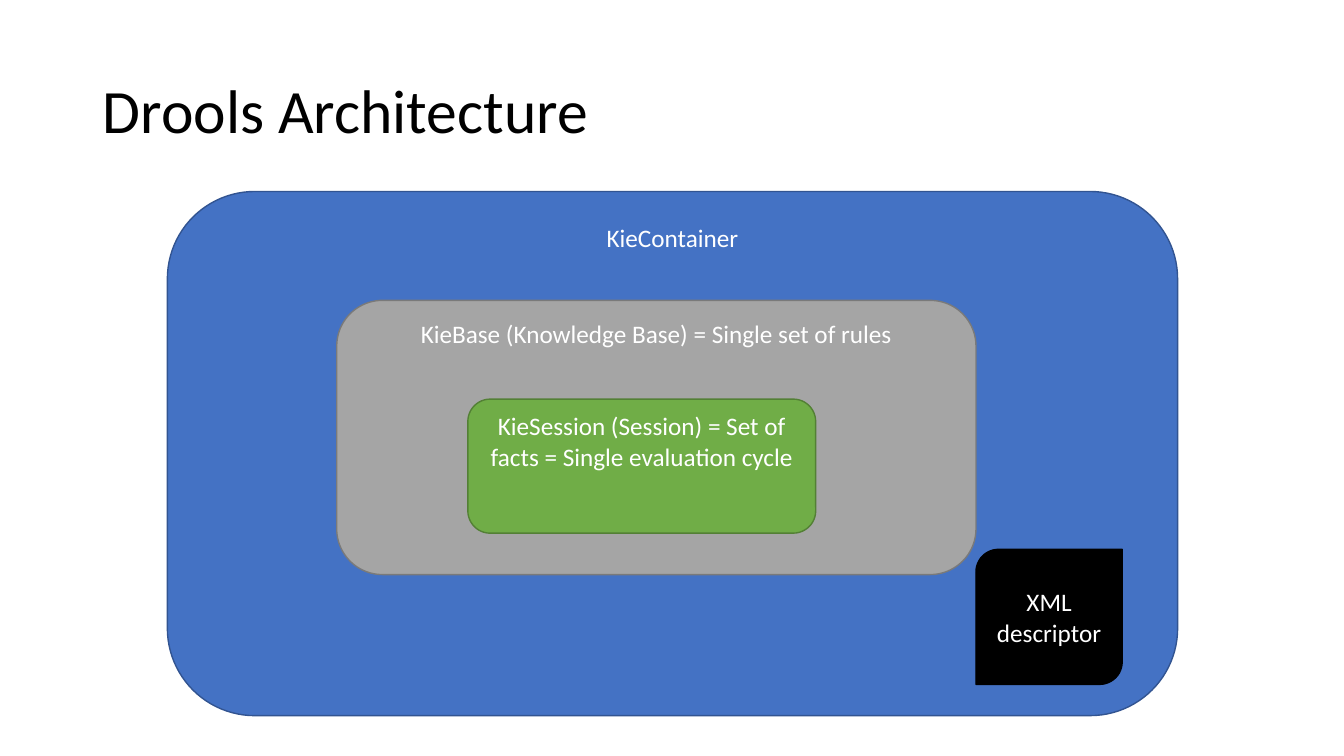
import pptx
import pptx.dml.color
import pptx.enum.shapes
import pptx.enum.text
import pptx.util

RGBColor = pptx.dml.color.RGBColor
Shapes = pptx.enum.shapes.MSO_SHAPE
Align = pptx.enum.text.PP_ALIGN
Anchor = pptx.enum.text.MSO_ANCHOR

PX = 9144  # EMU per px, 100 px to the inch
FONT = "Calibri"
BLACK = RGBColor(0x00, 0x00, 0x00)
WHITE = RGBColor(0xFF, 0xFF, 0xFF)
BLUE = RGBColor(0x44, 0x72, 0xC4)
DARK_BLUE = RGBColor(0x32, 0x54, 0x91)
GRAY = RGBColor(0xA5, 0xA5, 0xA5)
DARK_GRAY = RGBColor(0x7A, 0x7A, 0x7A)
GREEN = RGBColor(0x70, 0xAD, 0x47)
DARK_GREEN = RGBColor(0x53, 0x80, 0x35)


def px(length):
    return pptx.util.Emu(length * PX)


def write_text(shape, text, size=18, color=WHITE, align=Align.CENTER,
               anchor=Anchor.TOP, line_spacing=1.0):
    frame = shape.text_frame
    frame.word_wrap = True
    frame.auto_size = pptx.enum.text.MSO_AUTO_SIZE.NONE
    frame.vertical_anchor = anchor
    paragraph = frame.paragraphs[0]
    paragraph.text = text
    paragraph.alignment = align
    paragraph.line_spacing = line_spacing
    paragraph.font.name = FONT
    paragraph.font.size = pptx.util.Pt(size)
    paragraph.font.color.rgb = color


def add_title(slide, box, text):
    title = slide.shapes.title
    title.left, title.top, title.width, title.height = map(px, box)
    write_text(title, text, size=44, color=BLACK, align=Align.LEFT,
               anchor=Anchor.MIDDLE, line_spacing=0.9)


def add_block(slide, box, text, fill, line, preset=Shapes.ROUNDED_RECTANGLE,
              anchor=Anchor.TOP):
    shape = slide.shapes.add_shape(preset, *map(px, box))
    shape.shadow.inherit = False
    shape.fill.solid()
    shape.fill.fore_color.rgb = fill
    shape.line.color.rgb = line
    shape.line.width = pptx.util.Pt(1)
    write_text(shape, text, anchor=anchor)


def add_architecture(slide, box):
    left, top, width, height = box
    # Nested containers, from the outside in
    add_block(slide, box, "KieContainer", BLUE, DARK_BLUE)
    add_block(slide, (left + 168, top + 108, 634, 272),
              "KieBase (Knowledge Base) = Single set of rules", GRAY, DARK_GRAY)
    add_block(slide, (left + 298, top + 206, 345, 133),
              "KieSession (Session) = Set of facts = Single evaluation cycle",
              GREEN, DARK_GREEN)
    # Descriptor in the lower right corner
    add_block(slide, (left + width - 200, top + height - 165, 145, 134),
              "XML descriptor", BLACK, BLACK,
              preset=Shapes.ROUND_2_DIAG_RECTANGLE, anchor=Anchor.MIDDLE)


def main():
    presentation = pptx.Presentation()
    presentation.slide_width = px(1333)
    presentation.slide_height = px(750)
    slide = presentation.slides.add_slide(presentation.slide_layouts[5])
    add_title(slide, (92, 40, 1150, 145), "Drools Architecture")
    add_architecture(slide, (166, 190, 1002, 520))
    presentation.save("out.pptx")


if __name__ == "__main__":
    main()
